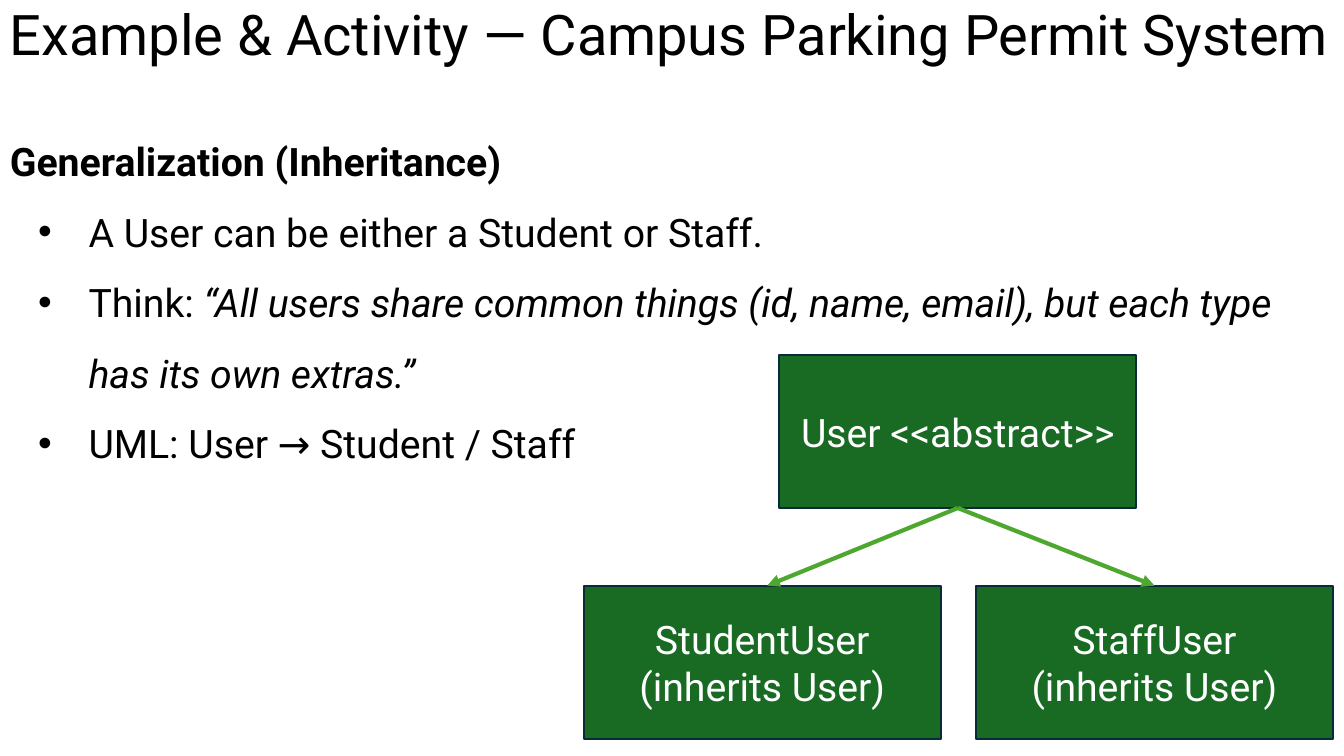
from pptx import Presentation
from pptx.dml.color import RGBColor
from pptx.enum.shapes import MSO_CONNECTOR, MSO_SHAPE
from pptx.enum.text import MSO_ANCHOR, PP_ALIGN
from pptx.oxml.ns import qn
from pptx.util import Inches, Pt
from lxml import etree

RECTANGLE = MSO_SHAPE.RECTANGLE
STRAIGHT = MSO_CONNECTOR.STRAIGHT
MIDDLE, BOTTOM = MSO_ANCHOR.MIDDLE, MSO_ANCHOR.BOTTOM
CENTER = PP_ALIGN.CENTER

BLACK = RGBColor(0x00, 0x00, 0x00)
WHITE = RGBColor(0xFF, 0xFF, 0xFF)
DARK_GREEN = RGBColor(0x19, 0x6B, 0x24)
LIGHT_GREEN = RGBColor(0x4E, 0xA7, 0x2E)
NAVY = RGBColor(0x09, 0x2A, 0x39)

FONT = "Roboto"
TITLE_SIZE, TEXT_SIZE = 40, 28
SLIDE_WIDTH, SLIDE_HEIGHT = 13.33, 7.5
CLASS_WIDTH, CLASS_HEIGHT = 3.54, 1.52
PARENT_TOP, CHILD_TOP = 3.52, 5.81


def add_span(para, text, size, color, bold=False, italic=False):
    span = para.add_run()
    span.text = text
    span.font.name = FONT
    span.font.size = Pt(size)
    span.font.color.rgb = color
    span.font.bold = bold
    span.font.italic = italic


deck = Presentation()
deck.slide_width = Inches(SLIDE_WIDTH)
deck.slide_height = Inches(SLIDE_HEIGHT)
page = deck.slides.add_slide(deck.slide_layouts[6])

# Bulleted explanation
body = page.shapes.add_textbox(0, Inches(1.08), Inches(SLIDE_WIDTH), Inches(3.56))
body.text_frame.word_wrap = True
heading = body.text_frame.paragraphs[0]
heading.line_spacing = 1.5
add_span(heading, "Generalization (Inheritance)", TEXT_SIZE, BLACK, bold=True)

bullets = [
    [("A User can be either a Student or Staff.", False)],
    [("Think: ", False),
     ("“All users share common things (id, name, email), "
      "but each type has its own extras.”", True)],
    [("UML: User → Student / Staff", False)],
]
for bullet in bullets:
    para = body.text_frame.add_paragraph()
    para.line_spacing = 1.5
    properties = para._p.get_or_add_pPr()
    properties.set("marL", str(Inches(0.78)))
    properties.set("indent", str(Inches(-0.5)))
    etree.SubElement(properties, qn("a:buFont"), typeface="Arial")
    etree.SubElement(properties, qn("a:buChar"), char="•")
    for text, italic in bullet:
        add_span(para, text, TEXT_SIZE, BLACK, italic=italic)

# Class boxes
classes = [
    (7.73, PARENT_TOP, ["User <<abstract>>"]),
    (5.79, CHILD_TOP, ["StudentUser (inherits User)"]),
    (9.68, CHILD_TOP, ["StaffUser", "(inherits User)"]),
]
for left, top, lines in classes:
    box = page.shapes.add_shape(RECTANGLE, Inches(left), Inches(top),
                                Inches(CLASS_WIDTH), Inches(CLASS_HEIGHT))
    box.shadow.inherit = False
    box.fill.solid()
    box.fill.fore_color.rgb = DARK_GREEN
    box.line.color.rgb = NAVY
    box.line.width = Pt(1.5)
    box.text_frame.word_wrap = True
    box.text_frame.vertical_anchor = MIDDLE
    para = box.text_frame.paragraphs[0]
    para.alignment = CENTER
    for number, line in enumerate(lines):
        if number:
            para.add_line_break()
        add_span(para, line, TEXT_SIZE, WHITE)

# Arrows from the parent class to its children
for child_x in (7.61, 11.45):
    arrow = page.shapes.add_connector(
        STRAIGHT, Inches(9.5), Inches(PARENT_TOP + CLASS_HEIGHT),
        Inches(child_x), Inches(CHILD_TOP))
    arrow.line.color.rgb = LIGHT_GREEN
    arrow.line.width = Pt(3)
    etree.SubElement(arrow.line._get_or_add_ln(), qn("a:tailEnd"), type="triangle")
    etree.SubElement(arrow._element.spPr, qn("a:effectLst"))

# Title
title = page.shapes.add_textbox(0, 0, Inches(SLIDE_WIDTH), Inches(0.72))
title.text_frame.word_wrap = True
title.text_frame.vertical_anchor = BOTTOM
para = title.text_frame.paragraphs[0]
para.line_spacing = 0.9
add_span(para, "Example & Activity — Campus Parking Permit System", TITLE_SIZE, BLACK)

deck.save("out.pptx")
